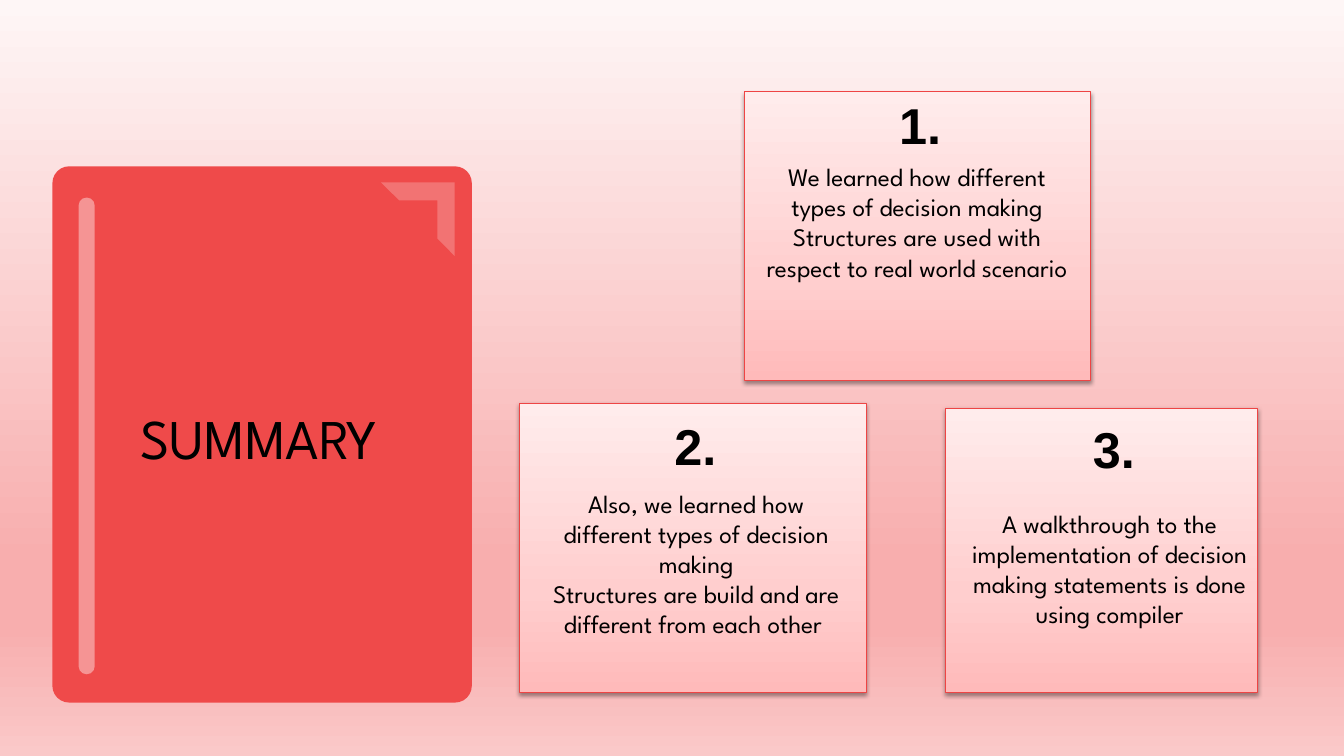
from pptx import Presentation
from pptx.dml.color import RGBColor
from pptx.enum.shapes import MSO_SHAPE
from pptx.enum.text import MSO_ANCHOR, MSO_AUTO_SIZE, PP_ALIGN
from pptx.oxml.ns import qn
from pptx.oxml.xmlchemy import OxmlElement
from pptx.util import Inches, Pt

ROUNDED, HALF_FRAME = MSO_SHAPE.ROUNDED_RECTANGLE, MSO_SHAPE.HALF_FRAME
RECTANGLE = MSO_SHAPE.RECTANGLE
CENTER, LEFT = PP_ALIGN.CENTER, PP_ALIGN.LEFT
TOP = MSO_ANCHOR.TOP
NO_AUTOFIT = MSO_AUTO_SIZE.NONE

BLACK = RGBColor(0x00, 0x00, 0x00)
WHITE = RGBColor(0xFF, 0xFF, 0xFF)
COVER_RED = RGBColor(0xEF, 0x4A, 0x4A)
CARD_LINE = RGBColor(0xEE, 0x44, 0x44)
BACKGROUND_STOPS = [
    (0, RGBColor(0xFE, 0xF6, 0xF6)),
    (74, RGBColor(0xF8, 0xAE, 0xAE)),
    (83, RGBColor(0xF8, 0xAE, 0xAE)),
    (100, RGBColor(0xFA, 0xC9, 0xC9)),
]
CARD_STOPS = [
    (0, RGBColor(0xFF, 0xBA, 0xBA)),
    (35, RGBColor(0xFF, 0xCE, 0xCE)),
    (100, RGBColor(0xFF, 0xEC, 0xEC)),
]
BODY_FONT, NUMBER_FONT = "League Spartan", "Arial"
BODY_WIDTH = 3.19

# Card box, offset of the number, offset and height of the body, paragraphs
CARDS = [
    ((9.38, 4.05, 3.09, 2.82), (1.36, 0.05), (0.03, 0.94, 1.62), "3.",
     ["A walkthrough to the implementation of decision making statements "
      "is done using compiler"]),
    ((5.15, 4, 3.44, 2.87), (1.44, 0.07), (0.16, 0.79, 1.92), "2.",
     ["Also, we learned how different types of decision making",
      "Structures are build and are different from each other "]),
    ((7.38, 0.91, 3.44, 2.87), (1.44, -0.03), (0.12, 0.64, 1.92), "1.",
     ["We learned how different types of decision making",
      "Structures are used with respect to real world scenario"]),
]


def add_child(parent, tag, **attributes):
    child = OxmlElement(tag)
    for key, value in attributes.items():
        child.set(key, str(value))
    parent.append(child)
    return child


def set_gradient(fill, owner, stops, angle):
    """Fill with colour stops; the angle runs clockwise in degrees."""
    fill.gradient()
    gradient = owner.find(".//" + qn("a:gradFill"))
    for child in list(gradient):
        gradient.remove(child)
    stop_list = add_child(gradient, "a:gsLst")
    for position, color in stops:
        stop = add_child(stop_list, "a:gs", pos=position * 1000)
        add_child(stop, "a:srgbClr", val=color)
    add_child(gradient, "a:lin", ang=angle * 60000, scaled=0)


def add_panel(slide, preset, box, color, adjustments, opacity=100):
    panel = slide.shapes.add_shape(preset, *map(Inches, box))
    for index, value in enumerate(adjustments):
        panel.adjustments[index] = value
    panel.shadow.inherit = False
    panel.line.fill.background()
    panel.fill.solid()
    panel.fill.fore_color.rgb = color
    if opacity < 100:
        tint = panel.element.spPr.find(".//" + qn("a:srgbClr"))
        add_child(tint, "a:alpha", val=opacity * 1000)
    return panel


def write_text(frame, paragraphs, size, font, align, bold=False):
    frame.word_wrap = True
    frame.auto_size = NO_AUTOFIT
    frame.vertical_anchor = TOP
    frame.text = "\n".join(paragraphs)
    for paragraph in frame.paragraphs:
        paragraph.alignment = align
        for run in paragraph.runs:
            run.font.size = Pt(size)
            run.font.name = font
            run.font.bold = bold
            run.font.color.rgb = BLACK


def add_cover(slide, box):
    left, top, width, height = box
    add_panel(slide, ROUNDED, box, COVER_RED, [0.04])
    # Spine highlight
    add_panel(slide, ROUNDED, (left + 0.26, top + 0.31, 0.16, height - 0.59),
              WHITE, [0.5], 41)
    # Corner mark
    corner = add_panel(slide, HALF_FRAME, (left + width - 0.9, top + 0.16, 0.73, 0.73),
                       WHITE, [0.237, 0.246], 23)
    corner.rotation = 90
    # Title, brought in front of the cover
    title = slide.shapes.title
    title.left, title.top = Inches(left + 0.45), Inches(top + 2.3)
    title.width, title.height = Inches(BODY_WIDTH), Inches(0.77)
    write_text(title.text_frame, ["SUMMARY"], 40, BODY_FONT, CENTER)
    title.element.getparent().append(title.element)


def add_card(slide, box, number_offset, body_place, number, paragraphs):
    left, top = box[:2]
    # Framed card with a soft shadow below
    card = slide.shapes.add_shape(RECTANGLE, *map(Inches, box))
    set_gradient(card.fill, card.element.spPr, CARD_STOPS, 270)
    card.line.color.rgb = CARD_LINE
    card.line.width = Pt(0.75)
    card.shadow.inherit = False
    effects = card.element.spPr.find(qn("a:effectLst"))
    shadow = add_child(effects, "a:outerShdw", blurRad=Pt(3.1), dist=Pt(1.6),
                       dir=90 * 60000, rotWithShape=0)
    shade = add_child(shadow, "a:srgbClr", val=BLACK)
    add_child(shade, "a:alpha", val=38000)
    # Body
    dx, dy, body_height = body_place
    body = slide.shapes.add_textbox(Inches(left + dx), Inches(top + dy),
                                    Inches(BODY_WIDTH), Inches(body_height))
    write_text(body.text_frame, paragraphs, 18, BODY_FONT, CENTER)
    # Number
    dx, dy = number_offset
    heading = slide.shapes.add_textbox(Inches(left + dx), Inches(top + dy),
                                       Inches(0.82), Inches(0.71))
    write_text(heading.text_frame, [number], 36, NUMBER_FONT, LEFT, bold=True)


def main():
    deck = Presentation()
    deck.slide_width, deck.slide_height = Inches(13.33), Inches(7.5)
    slide = deck.slides.add_slide(deck.slide_layouts[5])
    set_gradient(slide.background.fill, slide.element, BACKGROUND_STOPS, 90)
    add_cover(slide, (0.52, 1.65, 4.16, 5.32))
    for card in CARDS:
        add_card(slide, *card)
    deck.save("out.pptx")


if __name__ == "__main__":
    main()
